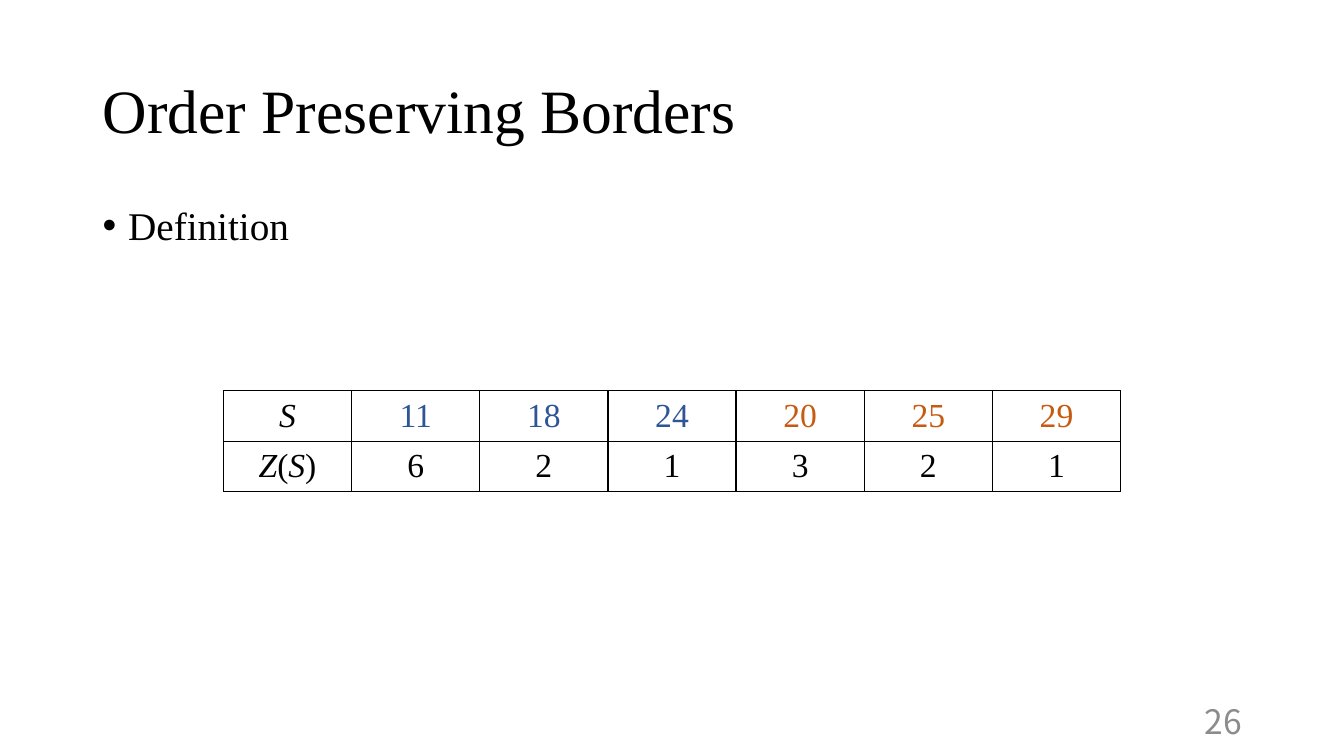
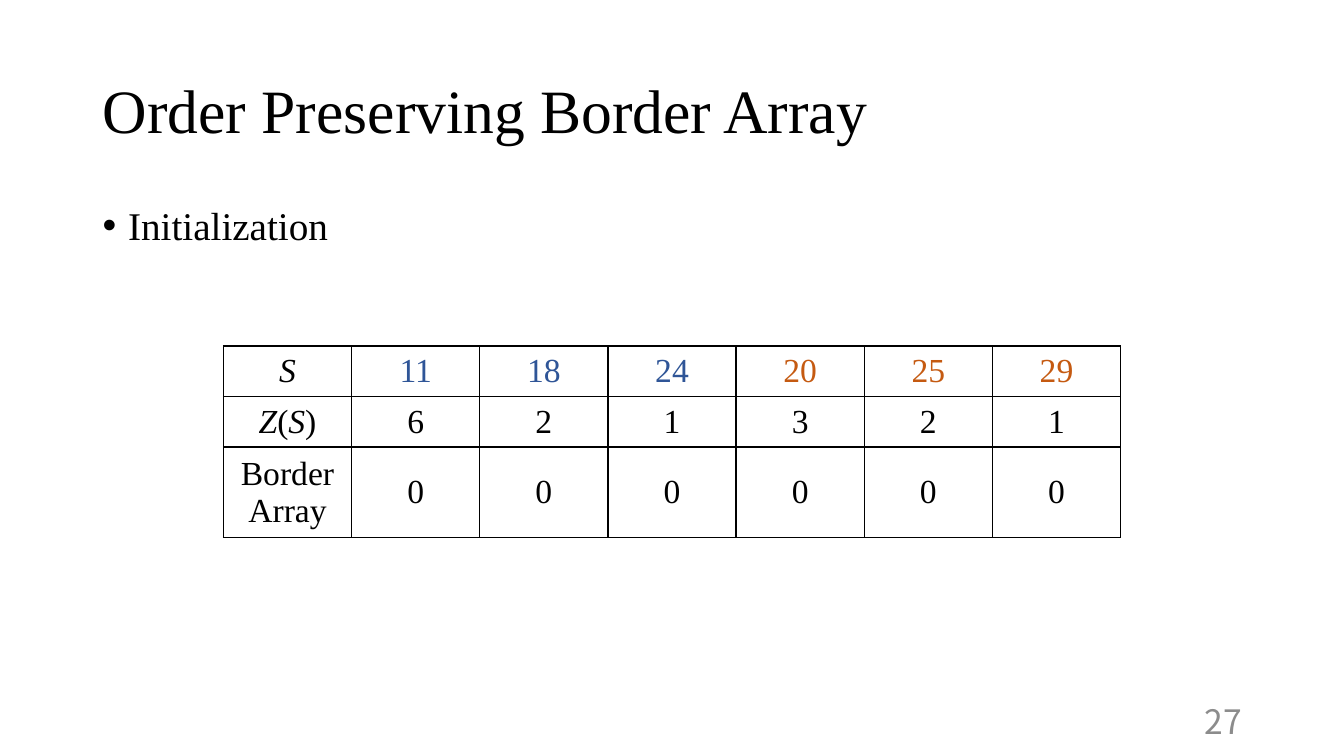
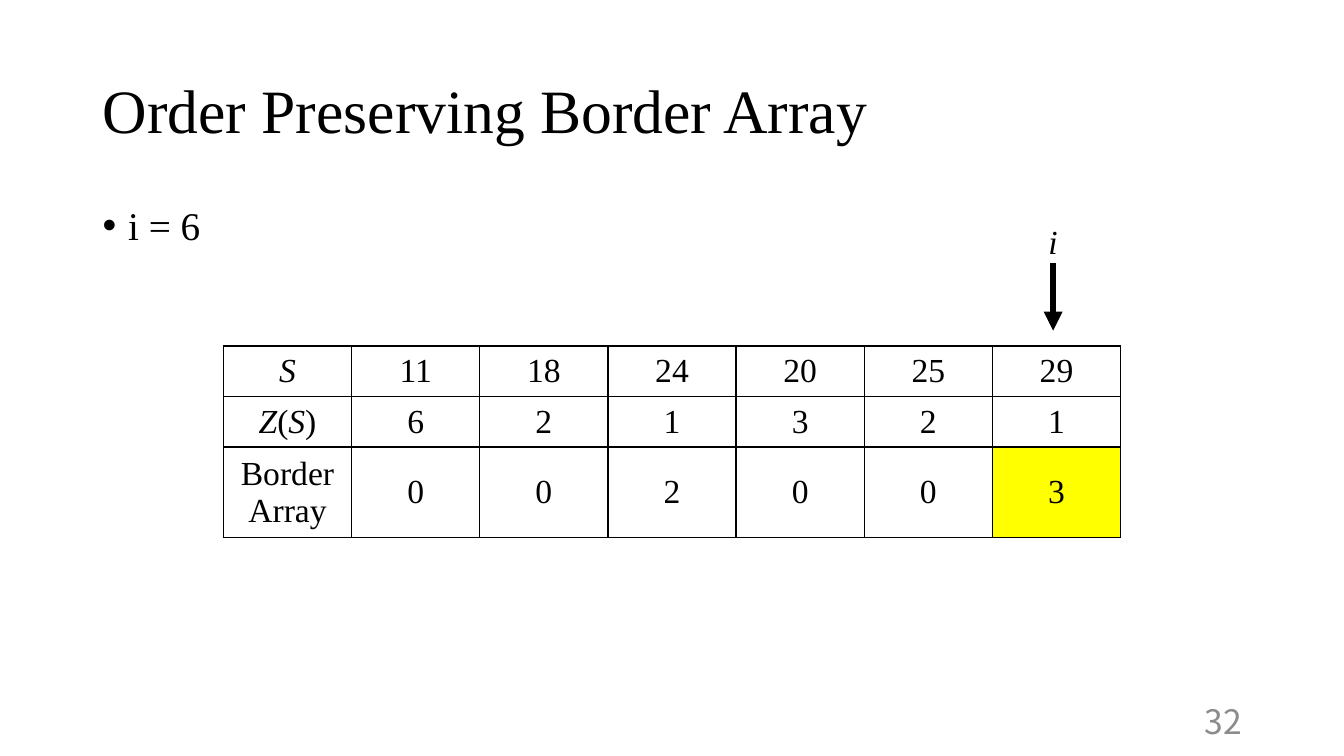
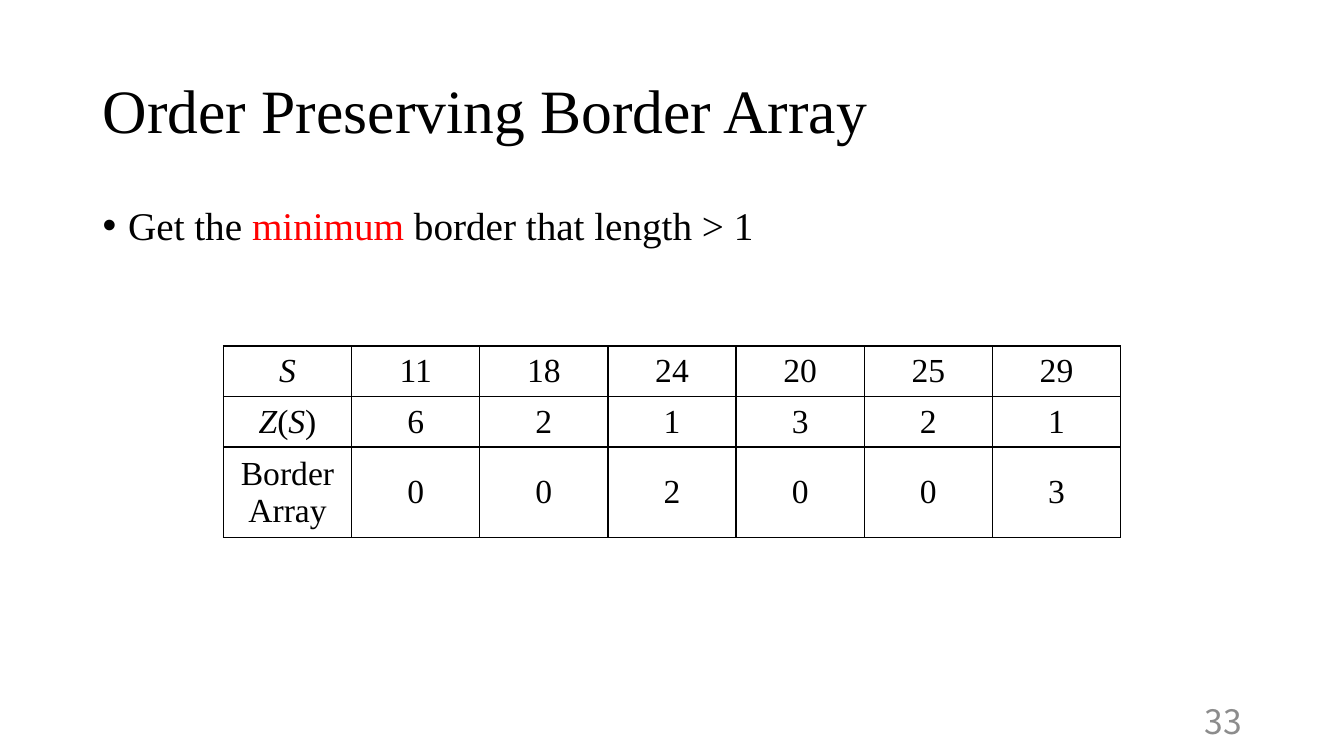
from lxml import etree
from pptx import Presentation
from pptx.dml.color import RGBColor
from pptx.enum import shapes, text
from pptx.oxml.ns import qn
from pptx.util import Cm, Pt

COLORS = {
    "black": "000000",
    "grey": "8C8C8C",
    "blue": "2F5597",
    "orange": "C55A11",
    "red": "FF0000",
    "yellow": "FFFF00",
}
SERIF = "Times New Roman"
SANS = "Noto Sans CJK JP"
SLIDE_WIDTH, SLIDE_HEIGHT = Cm(33.87), Cm(19.05)
MARGIN, CONTENT_WIDTH = Cm(2.34), Cm(29.21)
COLUMN_WIDTH, ROW_HEIGHT, TALL_ROW_HEIGHT = Cm(3.23), Cm(1.19), Cm(2.13)
TABLE_TOP = Cm(8.72)

ITALIC = {"italic": True}
S_LABEL = [("S", ITALIC)]
Z_LABEL = [("Z", ITALIC), ("(", {}), ("S", ITALIC), (")", {})]
SEQUENCE = ["11", "18", "24", "20", "25", "29"]
HALF_COLORS = ["blue"] * 3 + ["orange"] * 3
COLORED_ROW = [S_LABEL] + [
    [(value, {"color": color})] for value, color in zip(SEQUENCE, HALF_COLORS)]
PLAIN_ROW = [S_LABEL] + SEQUENCE
Z_ROW = [Z_LABEL, "6", "2", "1", "3", "2", "1"]
EMPTY_BORDERS = ["Border Array"] + ["0"] * 6
FOUND_BORDERS = ["Border Array", "0", "0", "2", "0", "0", "3"]


def rgb(name):
    return RGBColor.from_string(COLORS[name])


def write(frame, content, size=24, font=SERIF, color="black", italic=False,
          align="LEFT", anchor="TOP", spacing=None, bullet=False):
    """Fill a frame with a string, or with (text, format overrides) spans."""
    frame.word_wrap = True
    frame.vertical_anchor = text.MSO_ANCHOR[anchor]
    para = frame.paragraphs[0]
    para.alignment = text.PP_ALIGN[align]
    if spacing:
        para.line_spacing = spacing
    if bullet:
        add_bullet(para)
    spans = [(content, {})] if isinstance(content, str) else content
    for words, changes in spans:
        style = {"color": color, "italic": italic, **changes}
        span = para.add_run()
        span.text = words
        span.font.size = Pt(size)
        span.font.name = font
        span.font.italic = style["italic"]
        span.font.color.rgb = rgb(style["color"])


def add_bullet(para):
    props = para._p.get_or_add_pPr()
    props.set("marL", str(Cm(0.64)))
    props.set("indent", str(-Cm(0.64)))
    etree.SubElement(props, qn("a:buFont"), typeface="Arial")
    etree.SubElement(props, qn("a:buChar"), char="•")


def add_text(parent, left, top, width, height, content, **style):
    box = parent.shapes.add_textbox(left, top, width, height)
    write(box.text_frame, content, **style)


def add_page(deck, title, point, number):
    page = deck.slides.add_slide(deck.slide_layouts[6])
    add_text(page, MARGIN, Cm(1.02), CONTENT_WIDTH, Cm(3.68), title,
             size=44, anchor="MIDDLE", spacing=0.9)
    add_text(page, MARGIN, Cm(5.08), CONTENT_WIDTH, Cm(12.09), point,
             size=28, spacing=0.9, bullet=True)
    add_text(page, Cm(23.93), Cm(17.65), Cm(7.62), Cm(1.02), number,
             font=SANS, color="grey", align="RIGHT", anchor="MIDDLE")
    return page


def add_borders(cell):
    props = cell._tc.get_or_add_tcPr()
    for side in ("a:lnL", "a:lnR", "a:lnT", "a:lnB"):
        line = etree.SubElement(props, qn(side), w=str(Pt(1)))
        fill = etree.SubElement(line, qn("a:solidFill"))
        etree.SubElement(fill, qn("a:srgbClr"), val=COLORS["black"])


def add_array_table(page, rows, top=TABLE_TOP, highlight=None):
    """Draw a centred table; highlight is the (row, column) of a yellow cell."""
    columns = len(rows[0])
    heights = [ROW_HEIGHT, ROW_HEIGHT, TALL_ROW_HEIGHT][:len(rows)]
    width = COLUMN_WIDTH * columns
    table = page.shapes.add_table(len(rows), columns, (SLIDE_WIDTH - width) // 2,
                                  top, width, sum(heights)).table
    table.first_row = table.horz_banding = False
    for column in table.columns:
        column.width = COLUMN_WIDTH
    for r, (row, height) in enumerate(zip(rows, heights)):
        table.rows[r].height = height
        for c, content in enumerate(row):
            cell = table.cell(r, c)
            write(cell.text_frame, content, align="CENTER")
            cell.vertical_anchor = text.MSO_ANCHOR.MIDDLE
            add_borders(cell)
            if (r, c) == highlight:
                cell.fill.solid()
                cell.fill.fore_color.rgb = rgb("yellow")
            else:
                cell.fill.background()


def add_index_pointer(page, label, center):
    """Draw a labelled arrow that points down at a table column."""
    group = page.shapes.add_group_shape()
    arrow = group.shapes.add_connector(shapes.MSO_CONNECTOR.STRAIGHT,
                                       center, Cm(6.63), center, Cm(8.33))
    arrow.line.width = Pt(4.5)
    arrow.line.color.rgb = rgb("black")
    props = arrow._element.spPr
    etree.SubElement(props.find(qn("a:ln")), qn("a:tailEnd"), type="triangle")
    etree.SubElement(props, qn("a:effectLst"))
    width = Cm(1.22)
    add_text(group, center - width // 2, Cm(5.44), width, Cm(1.27), label,
             italic=True, align="CENTER")


def main():
    deck = Presentation()
    deck.slide_width, deck.slide_height = SLIDE_WIDTH, SLIDE_HEIGHT
    array_title = "Order Preserving Border Array"

    page = add_page(deck, "Order Preserving Borders", "Definition", "26")
    add_array_table(page, [COLORED_ROW, Z_ROW], top=Cm(9.85))

    page = add_page(deck, array_title, "Initialization", "27")
    add_array_table(page, [COLORED_ROW, Z_ROW, EMPTY_BORDERS])

    page = add_page(deck, array_title, "i = 6", "32")
    add_array_table(page, [PLAIN_ROW, Z_ROW, FOUND_BORDERS], highlight=(2, 6))
    add_index_pointer(page, "i", Cm(26.54))

    minimum = [("Get the ", {}), ("minimum", {"color": "red"}),
               (" border that length > 1", {})]
    page = add_page(deck, array_title, minimum, "33")
    add_array_table(page, [PLAIN_ROW, Z_ROW, FOUND_BORDERS])

    deck.save("out.pptx")


if __name__ == "__main__":
    main()
